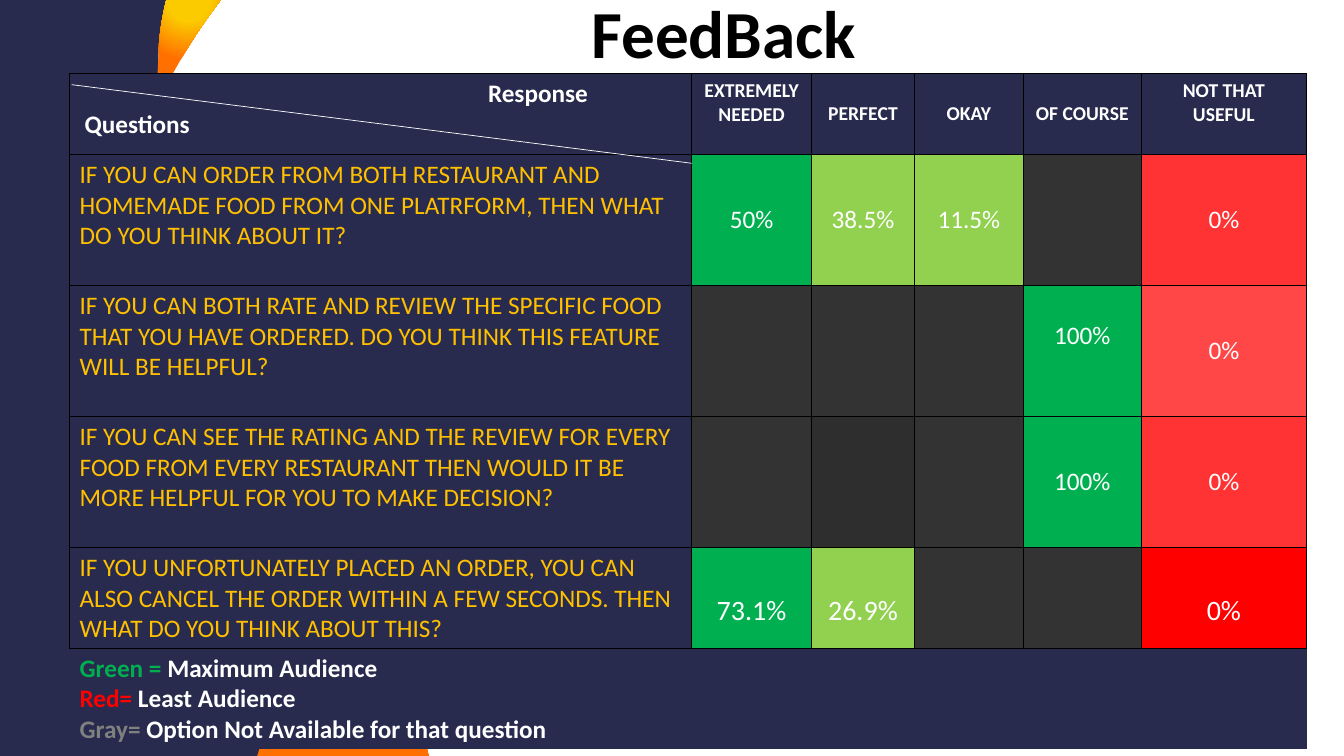
from pptx import Presentation
from pptx.dml.color import RGBColor
from pptx.enum.shapes import MSO_CONNECTOR
from pptx.enum.text import MSO_ANCHOR, PP_ALIGN
from pptx.oxml import parse_xml
from pptx.oxml.ns import nsdecls, qn
from pptx.util import Inches, Pt
from lxml import etree

TOP, MIDDLE = MSO_ANCHOR.TOP, MSO_ANCHOR.MIDDLE
LEFT, CENTER = PP_ALIGN.LEFT, PP_ALIGN.CENTER
FONT = "Calibri"
COLORS = {
    "navy": "282B4D", "orange": "FF7000", "yellow": "FBCB00", "amber": "FFC000",
    "green": "00B050", "lime": "92D050", "red": "FF0000", "grey": "808080",
    "charcoal": "262626", "black": "000000", "white": "FFFFFF",
}

TABLE_BOX = (0.69, 0.73)
COLUMNS = [6.17, 1.19, 1.02, 1.08, 1.17, 1.64]
ROWS = [0.8, 1.3, 1.3, 1.3, 1.0, 1.0]
RESPONSES = [("EXTREMELY NEEDED", TOP), ("PERFECT", MIDDLE), ("OKAY", MIDDLE),
             ("OF COURSE", MIDDLE), ("NOT THAT USEFUL", TOP)]
ABSENT = ("", "black", 80)
BEST = "green", 100
GOOD = "lime", 100
# Each answer: text, fill colour, opacity in percent
SURVEY = [
    ("IF YOU CAN ORDER FROM BOTH RESTAURANT AND HOMEMADE FOOD FROM ONE PLATRFORM, "
     "THEN WHAT DO YOU THINK ABOUT IT?",
     [("50%", *BEST), ("38.5%", *GOOD), ("11.5%", *GOOD), ABSENT, ("0%", "red", 80)]),
    ("IF YOU CAN BOTH RATE AND REVIEW THE SPECIFIC FOOD THAT YOU HAVE ORDERED. "
     "DO YOU THINK THIS FEATURE WILL BE HELPFUL?",
     [ABSENT, ABSENT, ABSENT, ("100%", *BEST), ("0%", "red", 72)]),
    ("IF YOU CAN SEE THE RATING AND THE REVIEW FOR EVERY FOOD FROM EVERY RESTAURANT "
     "THEN WOULD IT BE MORE HELPFUL FOR YOU TO MAKE DECISION?",
     [ABSENT, ("", "charcoal", 96), ABSENT, ("100%", *BEST), ("0%", "red", 80)]),
    ("IF YOU UNFORTUNATELY PLACED AN ORDER, YOU CAN ALSO CANCEL THE ORDER WITHIN "
     "A FEW SECONDS. THEN WHAT DO YOU THINK ABOUT THIS?",
     [("73.1%", *BEST), ("26.9%", *GOOD), ABSENT, ABSENT, ("0%", "red", 100)]),
]
# Answers set off the middle of their cell, by row and column
SHIFTED = {(2, 4): {"margin_bottom": Inches(0.35)}}
SHIFTED.update({(4, column): {"margin_top": Inches(0.32)} for column in range(1, 6)})
LEGEND = [("Green = ", "green", "Maximum Audience"), ("Red= ", "red", "Least Audience"),
          ("Gray= ", "grey", "Option Not Available for that question")]

# Box and outline in inches: two numbers for a straight line, six for a curve
FLAME = (2.19, 4.92, 1.7, 2.58), [
    (2.3, 4.92), (2.38, 5.27, 2.43, 5.61, 2.43, 5.97),
    (2.44, 6.5, 2.35, 7.01, 2.19, 7.5), (3.9, 7.5),
    (3.78, 7.05, 3.58, 6.61, 3.3, 6.19), (3.02, 5.75, 2.66, 5.34, 2.3, 4.92)]
RIBBON = (1.19, 1.02, 1.46, 3.9), [
    (1.38, 2.96), (1.59, 3.66, 2.12, 4.29, 2.66, 4.92),
    (2.53, 4.37, 2.33, 3.83, 2.14, 3.3), (1.88, 2.56, 1.62, 1.8, 1.57, 1.02),
    (1.29, 1.65, 1.19, 2.32, 1.38, 2.96)]
SIDE = (0, 0, 2.79, 7.5), [
    (0, 0), (1.65, 0), (1.6, 0.2, 1.57, 0.41, 1.57, 0.61),
    (1.56, 0.75, 1.57, 0.88, 1.57, 1.02), (1.29, 1.65, 1.19, 2.32, 1.39, 2.96),
    (1.59, 3.66, 2.12, 4.29, 2.66, 4.92), (2.73, 5.27, 2.78, 5.62, 2.79, 5.97),
    (2.8, 6.5, 2.7, 7.01, 2.55, 7.5), (0, 7.5)]
TIP = (1.56, 0, 0.63, 1.02), [
    (1.57, 1.02), (1.73, 0.67, 1.94, 0.33, 2.19, 0), (1.65, 0),
    (1.6, 0.2, 1.57, 0.41, 1.57, 0.61), (1.56, 0.75, 1.56, 0.88, 1.57, 1.02)]


def rgb(color):
    return RGBColor.from_string(COLORS[color])


def bend(shape, left, top, outline):
    """Replace the straight segments of a freeform by the lines and curves of an outline."""
    track = next(shape.element.iter(qn("a:path")))
    for segment in list(track):
        track.remove(segment)
    for index, numbers in enumerate(outline):
        tag = "a:moveTo" if index == 0 else "a:lnTo" if len(numbers) == 2 else "a:cubicBezTo"
        segment = etree.SubElement(track, qn(tag))
        for x, y in zip(numbers[::2], numbers[1::2]):
            point = etree.SubElement(segment, qn("a:pt"))
            point.set("x", str(Inches(x - left)))
            point.set("y", str(Inches(y - top)))
    etree.SubElement(track, qn("a:close"))


def add_outline(slide, drawing, dx=0, core=None):
    """Draw a navy outline, or one with a round gradient from the core colour."""
    (left, top, width, height), outline = drawing
    x, y, w, h = map(Inches, (left + dx, top, width, height))
    builder = slide.shapes.build_freeform(x, y)
    builder.add_line_segments([(x + w, y), (x + w, y + h), (x, y + h)])
    shape = builder.convert_to_shape()
    bend(shape, left, top, outline)
    shape.shadow.inherit = False
    shape.line.fill.background()
    shape.fill.solid()
    shape.fill.fore_color.rgb = rgb("navy")
    if core:
        stops = "".join(
            f'<a:gs pos="{share * 1000}"><a:srgbClr val="{COLORS[color]}"/></a:gs>'
            for share, color in ((0, core), (35, "yellow"), (100, "orange")))
        solid = shape.element.spPr.find(qn("a:solidFill"))
        solid.getparent().replace(solid, parse_xml(
            f'<a:gradFill {nsdecls("a")}><a:gsLst>{stops}</a:gsLst><a:path path="circle">'
            '<a:fillToRect l="50000" t="-80000" r="50000" b="180000"/></a:path></a:gradFill>'))


def add_backdrop(slide):
    add_outline(slide, FLAME, dx=0.36, core="orange")
    add_outline(slide, RIBBON, core="yellow")
    add_outline(slide, FLAME, core="yellow")
    add_outline(slide, SIDE)
    add_outline(slide, TIP, core="yellow")


def add_run(paragraph, text, size, color, bold=False):
    run = paragraph.add_run()
    run.text = text
    for key, value in {"name": FONT, "size": Pt(size), "bold": bold}.items():
        setattr(run.font, key, value)
    run.font.color.rgb = rgb(color)


def add_title(slide, left, top, width, height):
    frame = slide.shapes.add_textbox(*map(Inches, (left, top, width, height))).text_frame
    frame.word_wrap = True
    frame.vertical_anchor = MIDDLE
    heading = frame.paragraphs[0]
    heading.alignment, heading.line_spacing = CENTER, 0.9
    add_run(heading, "FeedBack", 48, "black", True)


def style_cell(cell, color, opacity=100, sides="LRTB"):
    """Fill a cell and rule the given sides in black."""
    properties = cell._tc.get_or_add_tcPr()
    for side in "LRTB":
        paint = (f'<a:solidFill><a:srgbClr val="{COLORS["black"]}"/></a:solidFill>'
                 if side in sides else "<a:noFill/>")
        properties.append(parse_xml(f'<a:ln{side} {nsdecls("a")} w="12700">{paint}</a:ln{side}>'))
    cell.fill.solid()
    cell.fill.fore_color.rgb = rgb(color)
    if opacity < 100:
        tint = properties.find(qn("a:solidFill"))[0]
        etree.SubElement(tint, qn("a:alpha")).set("val", str(opacity * 1000))


def write_cell(cell, text, size, color, bold=False, align=CENTER, anchor=MIDDLE):
    cell.vertical_anchor = anchor
    paragraph = cell.text_frame.paragraphs[0]
    paragraph.alignment = align
    add_run(paragraph, text, size, color, bold)


def write_lines(cell, lines):
    """Write bold lines, each an indent in inches and its coloured parts."""
    frame = cell.text_frame
    for index, (indent, parts) in enumerate(lines):
        paragraph = frame.add_paragraph() if index else frame.paragraphs[0]
        properties = paragraph._p.get_or_add_pPr()
        properties.set("marL", str(Inches(indent)))
        properties.set("indent", "0")
        for text, color in parts:
            add_run(paragraph, text, 18, color, True)


def add_feedback_table(slide, left, top):
    table = slide.shapes.add_table(
        len(ROWS), len(COLUMNS), Inches(left), Inches(top),
        Inches(sum(COLUMNS)), Inches(sum(ROWS))).table
    table.first_row = table.horz_banding = False
    for column, width in zip(table.columns, COLUMNS):
        column.width = Inches(width)
    for row, height in zip(table.rows, ROWS):
        row.height = Inches(height)

    write_lines(table.cell(0, 0), [(4.05, [("Response", "white")]),
                                   (0.05, [("Questions", "white")])])
    style_cell(table.cell(0, 0), "navy")
    for column, (response, anchor) in enumerate(RESPONSES, 1):
        cell = table.cell(0, column)
        write_cell(cell, response, 14, "white", True, anchor=anchor)
        style_cell(cell, "navy")

    for row, (question, answers) in enumerate(SURVEY, 1):
        write_cell(table.cell(row, 0), question, 18, "amber", align=LEFT, anchor=TOP)
        style_cell(table.cell(row, 0), "navy")
        for column, (answer, color, opacity) in enumerate(answers, 1):
            cell = table.cell(row, column)
            style_cell(cell, color, opacity)
            if answer:
                write_cell(cell, answer, 20 if row == len(SURVEY) else 18, "white")
                for key, value in SHIFTED.get((row, column), {}).items():
                    setattr(cell, key, value)

    last = len(ROWS) - 1
    for column in range(len(COLUMNS)):
        style_cell(table.cell(last, column), "navy", sides="T")
    table.cell(last, 0).merge(table.cell(last, len(COLUMNS) - 1))
    write_lines(table.cell(last, 0), [(0, [(key, color), (meaning, "white")])
                                      for key, color, meaning in LEGEND])


def add_header_diagonal(slide, left, top):
    diagonal = slide.shapes.add_connector(
        MSO_CONNECTOR.STRAIGHT, Inches(left + 0.02), Inches(top + 0.11),
        Inches(left + COLUMNS[0]), Inches(top + 0.89))
    diagonal.line.color.rgb = rgb("white")
    diagonal.line.width = Pt(0.5)
    etree.SubElement(diagonal._element.spPr, qn("a:effectLst"))


def main():
    deck = Presentation()
    deck.slide_width, deck.slide_height = Inches(13.33), Inches(7.5)
    slide = deck.slides.add_slide(deck.slide_layouts[6])
    add_backdrop(slide)
    add_title(slide, 2.93, -0.36, 8.5, 1.45)
    add_feedback_table(slide, *TABLE_BOX)
    add_header_diagonal(slide, *TABLE_BOX)
    deck.save("out.pptx")


if __name__ == "__main__":
    main()
